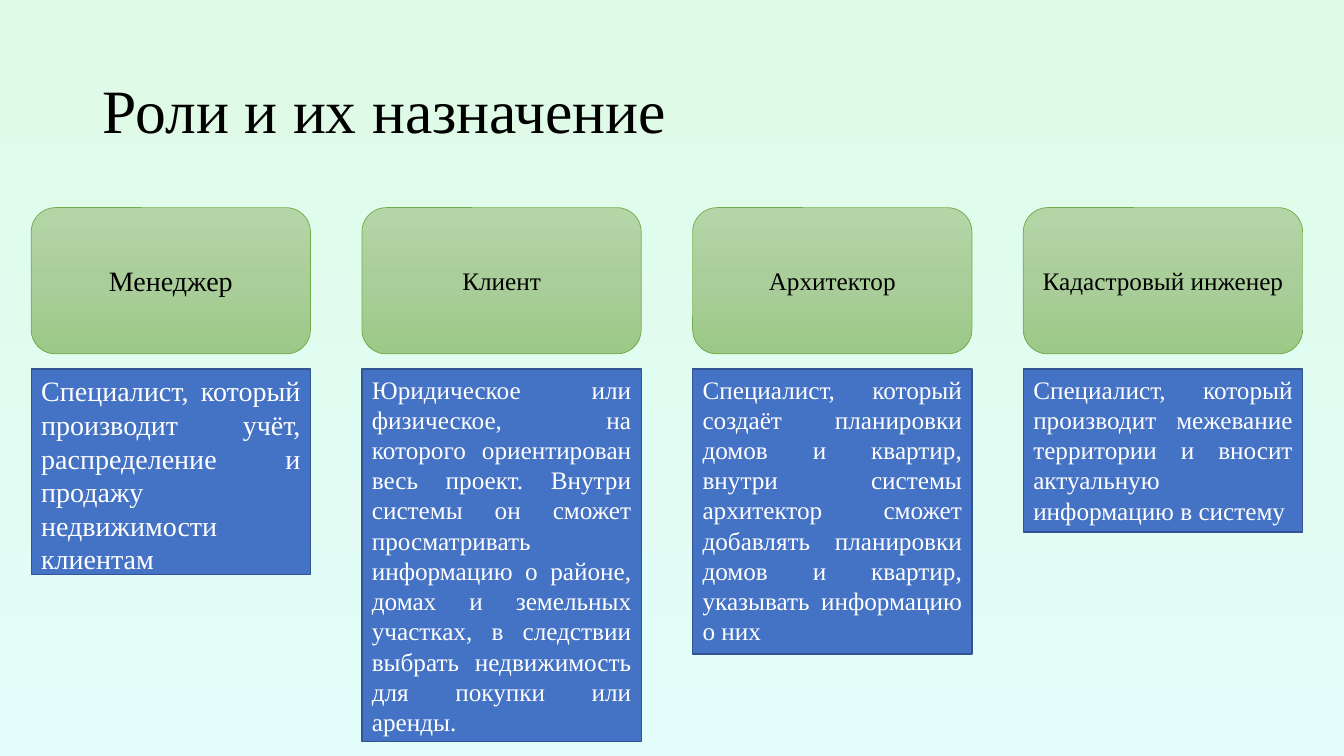
from copy import deepcopy

from pptx import Presentation
from pptx.dml.color import RGBColor
from pptx.enum.shapes import MSO_SHAPE
from pptx.enum.text import MSO_ANCHOR, PP_ALIGN
from pptx.oxml.ns import qn
from pptx.util import Inches, Pt

RECTANGLE, ROUNDED = MSO_SHAPE.RECTANGLE, MSO_SHAPE.ROUNDED_RECTANGLE
TOP, MIDDLE = MSO_ANCHOR.TOP, MSO_ANCHOR.MIDDLE
LEFT, CENTER, JUSTIFY = PP_ALIGN.LEFT, PP_ALIGN.CENTER, PP_ALIGN.JUSTIFY

FONT = "Times New Roman"
COLORS = {
    "text": "000000",
    "light_text": "FFFFFF",
    "description": "4472C4",
    "description_line": "325491",
    "role_line": "70AD47",
}
BACKGROUND_STOPS = [(0, "DFFBE5"), (1, "E3FDFB")]
ROLE_STOPS = [(0, "B5D5A7"), (0.5, "AACE9A"), (1, "9CC987")]

TITLE = "Роли и их назначение"
ROLES = [
    ("Менеджер", 20, 2.04,
     "Специалист, который производит учёт, распределение и продажу "
     "недвижимости клиентам"),
    ("Клиент", 18, 3.7,
     "Юридическое или физическое, на которого ориентирован весь проект. "
     "Внутри системы он сможет просматривать информацию о районе, домах и "
     "земельных участках, в следствии выбрать недвижимость для покупки или "
     "аренды."),
    ("Архитектор", 18, 2.83,
     "Специалист, который создаёт планировки домов и квартир, внутри системы "
     "архитектор сможет добавлять планировки домов и квартир, указывать "
     "информацию о них"),
    ("Кадастровый инженер", 18, 1.62,
     "Специалист, который производит межевание территории и вносит "
     "актуальную информацию в систему"),
]

FIRST_LEFT, COLUMN_STEP, COLUMN_WIDTH = 0.31, 3.28, 2.77
ROLE_TOP, ROLE_HEIGHT, DESCRIPTION_TOP = 2.06, 1.45, 3.66


def color(name):
    return RGBColor.from_string(COLORS[name])


def paint_gradient(fill, element, stops):
    fill.gradient()
    fill.gradient_angle = 270
    stop_list = next(element.iter(qn("a:gsLst")))
    while len(stop_list) < len(stops):
        stop_list.append(deepcopy(stop_list[0]))
    for stop, (position, value) in zip(fill.gradient_stops, stops):
        stop.position = position
        stop.color.rgb = RGBColor.from_string(value)


def write_text(shape, text, size, font_color="text", align=LEFT, anchor=MIDDLE):
    frame = shape.text_frame
    frame.word_wrap = True
    frame.vertical_anchor = anchor
    paragraph = frame.paragraphs[0]
    paragraph.text = text
    paragraph.alignment = align
    paragraph.font.size = Pt(size)
    paragraph.font.name = FONT
    paragraph.font.color.rgb = color(font_color)
    return paragraph


def add_box(slide, kind, left, top, height, line, line_width):
    shape = slide.shapes.add_shape(
        kind, Inches(left), Inches(top), Inches(COLUMN_WIDTH), Inches(height))
    shape.shadow.inherit = False
    shape.line.color.rgb = color(line)
    shape.line.width = Pt(line_width)
    return shape


def main():
    presentation = Presentation()
    presentation.slide_width = Inches(13.33)
    presentation.slide_height = Inches(7.5)
    slide = presentation.slides.add_slide(presentation.slide_layouts[5])
    paint_gradient(slide.background.fill, slide.element, BACKGROUND_STOPS)

    title = slide.shapes.title
    title.left, title.top = Inches(0.92), Inches(0.4)
    title.width, title.height = Inches(11.5), Inches(1.45)
    write_text(title, TITLE, 44).line_spacing = 0.9

    for column, (role, size, height, description) in enumerate(ROLES):
        left = FIRST_LEFT + column * COLUMN_STEP
        role_box = add_box(slide, ROUNDED, left, ROLE_TOP, ROLE_HEIGHT, "role_line", 0.5)
        paint_gradient(role_box.fill, role_box.element, ROLE_STOPS)
        write_text(role_box, role, size, align=CENTER)

        description_box = add_box(
            slide, RECTANGLE, left, DESCRIPTION_TOP, height, "description_line", 1)
        description_box.fill.solid()
        description_box.fill.fore_color.rgb = color("description")
        description_box.text_frame.margin_bottom = 0
        write_text(description_box, description, size, "light_text", JUSTIFY, TOP)

    presentation.save("out.pptx")


if __name__ == "__main__":
    main()
